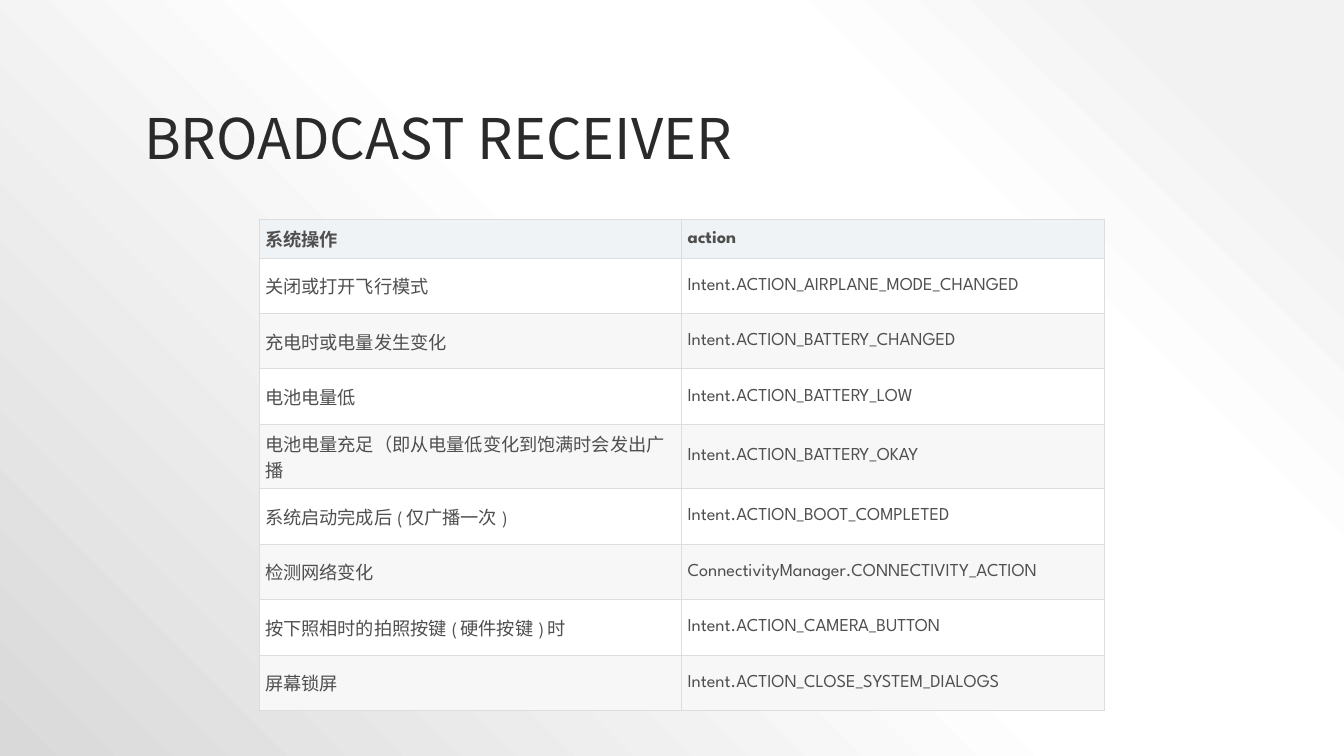
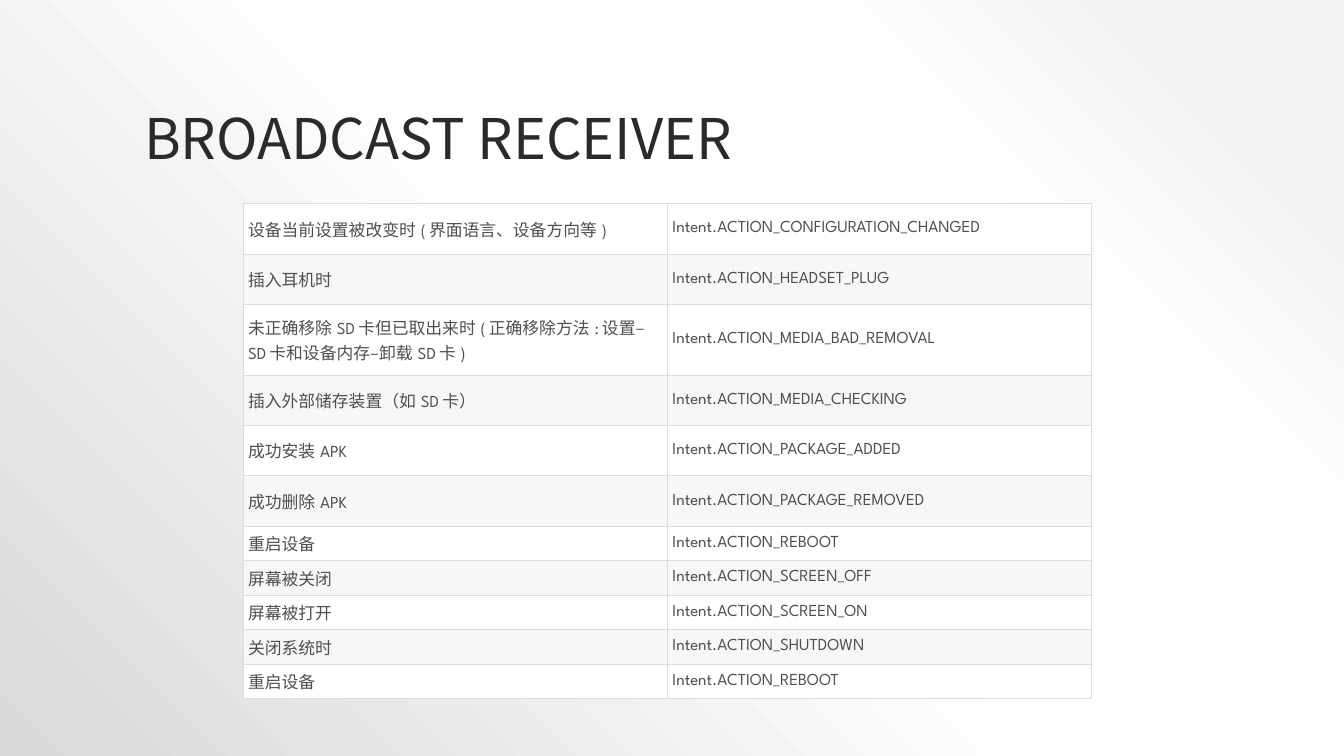
from lxml.etree import SubElement
from pptx import Presentation
from pptx.dml.color import RGBColor
from pptx.enum.text import MSO_ANCHOR, PP_ALIGN
from pptx.oxml import parse_xml
from pptx.oxml.ns import nsdecls, qn
from pptx.util import Inches, Pt

TITLE = "BROADCAST RECEIVER"
LATIN, ASIAN = "League Spartan", "Noto Sans CJK SC"
INK, TEXT, RULE = "2A2A2A", "4F4F4F", "DDDDDD"
HEAD, BANDS = "EFF3F5", ("FFFFFF", "F7F7F7")
STOPS = [(10, "F2F2F2"), (28, "FFFFFF"), (48, "FFFFFF"), (100, "D9D9D9")]

# Each row: text, action, height in inches
TABLES = [
    dict(at=(2.57, 2.18), col=4.19, size=13, inset=0.06, head=True, rows=[
        ("系统操作", "action", 0.34),
        ("关闭或打开飞行模式", "Intent.ACTION_AIRPLANE_MODE_CHANGED", 0.55),
        ("充电时或电量发生变化", "Intent.ACTION_BATTERY_CHANGED", 0.55),
        ("电池电量低", "Intent.ACTION_BATTERY_LOW", 0.55),
        ("电池电量充足（即从电量低变化到饱满时会发出广播", "Intent.ACTION_BATTERY_OKAY", 0.55),
        ("系统启动完成后(仅广播一次)", "Intent.ACTION_BOOT_COMPLETED", 0.55),
        ("检测网络变化", "ConnectivityManager.CONNECTIVITY_ACTION", 0.55),
        ("按下照相时的拍照按键(硬件按键)时", "Intent.ACTION_CAMERA_BUTTON", 0.55),
        ("屏幕锁屏", "Intent.ACTION_CLOSE_SYSTEM_DIALOGS", 0.55),
    ]),
    dict(at=(2.41, 2.02), col=4.21, size=12, inset=0.05, head=False, rows=[
        ("设备当前设置被改变时(界面语言、设备方向等)", "Intent.ACTION_CONFIGURATION_CHANGED", 0.5),
        ("插入耳机时", "Intent.ACTION_HEADSET_PLUG", 0.5),
        ("未正确移除SD卡但已取出来时(正确移除方法:设置–SD卡和设备内存–卸载SD卡)",
         "Intent.ACTION_MEDIA_BAD_REMOVAL", 0.7),
        ("插入外部储存装置（如SD卡）", "Intent.ACTION_MEDIA_CHECKING", 0.5),
        ("成功安装APK", "Intent.ACTION_PACKAGE_ADDED", 0.5),
        ("成功删除APK", "Intent.ACTION_PACKAGE_REMOVED", 0.5),
        ("重启设备", "Intent.ACTION_REBOOT", 0.31),
        ("屏幕被关闭", "Intent.ACTION_SCREEN_OFF", 0.31),
        ("屏幕被打开", "Intent.ACTION_SCREEN_ON", 0.31),
        ("关闭系统时", "Intent.ACTION_SHUTDOWN", 0.31),
        ("重启设备", "Intent.ACTION_REBOOT", 0.31),
    ]),
]


def color(code):
    return RGBColor.from_string(code)


def style(para, size, code, face, bold=False):
    font = para.font
    font.size, font.name, font.bold = Pt(size), face, bold
    font.color.rgb = color(code)
    props = para._p.pPr.find(qn("a:defRPr"))
    SubElement(props, qn("a:ea"), typeface=ASIAN)


def backdrop(master):
    """Radial gradient from the top right corner, shared by all slides."""
    master.background.fill.gradient()
    old = master.element.find(".//" + qn("a:gradFill"))
    stops = "".join(
        f'<a:gs pos="{pos * 1000}"><a:srgbClr val="{code}"/></a:gs>' for pos, code in STOPS)
    old.getparent().replace(old, parse_xml(
        f'<a:gradFill {nsdecls("a")} rotWithShape="1"><a:gsLst>{stops}</a:gsLst>'
        '<a:path path="circle"><a:fillToRect l="100000" b="100000"/></a:path></a:gradFill>'))


def border(cell):
    props = cell._tc.get_or_add_tcPr()
    for i, side in enumerate("LRTB"):
        props.insert(i, parse_xml(
            f'<a:ln{side} {nsdecls("a")} w="{Pt(0.75)}"><a:solidFill>'
            f'<a:srgbClr val="{RULE}"/></a:solidFill></a:ln{side}>'))


def add_title(slide):
    title = slide.shapes.title
    title.left, title.top = Inches(1.33), Inches(0.3)
    title.width, title.height = Inches(10.67), Inches(1.45)
    frame = title.text_frame
    frame.text = TITLE
    frame.vertical_anchor = MSO_ANCHOR.BOTTOM
    para = frame.paragraphs[0]
    para.alignment, para.line_spacing = PP_ALIGN.LEFT, 0.9
    style(para, 40, INK, ASIAN)


def add_grid(slide, at, col, size, inset, head, rows):
    high = sum(row[-1] for row in rows)
    table = slide.shapes.add_table(
        len(rows), 2, *map(Inches, (*at, 2 * col, high))).table
    table.first_row, table.horz_banding = head, False
    for i, (*texts, tall) in enumerate(rows):
        table.rows[i].height = Inches(tall)
        top = head and i == 0
        fill = HEAD if top else BANDS[(i - head) % 2]
        for j, text in enumerate(texts):
            cell = table.cell(i, j)
            cell.text = text
            cell.vertical_anchor = MSO_ANCHOR.MIDDLE
            cell.margin_left = cell.margin_right = Inches(inset)
            cell.margin_top = cell.margin_bottom = Inches(inset)
            cell.fill.solid()
            cell.fill.fore_color.rgb = color(fill)
            border(cell)
            style(cell.text_frame.paragraphs[0], size, TEXT, LATIN, top)


def main():
    deck = Presentation()
    deck.slide_width, deck.slide_height = Inches(13.33), Inches(7.5)
    backdrop(deck.slide_master)
    for table in TABLES:
        slide = deck.slides.add_slide(deck.slide_layouts[5])
        add_title(slide)
        add_grid(slide, **table)
    deck.save("out.pptx")


if __name__ == "__main__":
    main()
